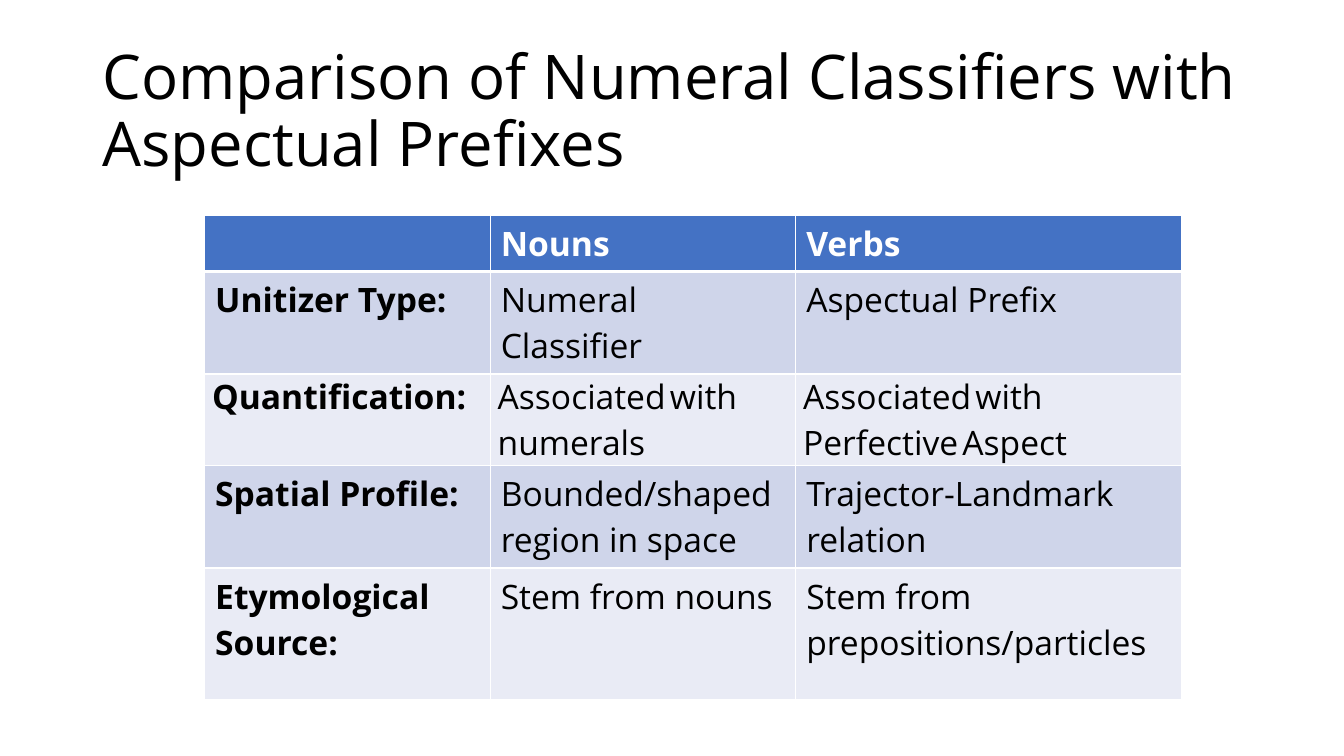
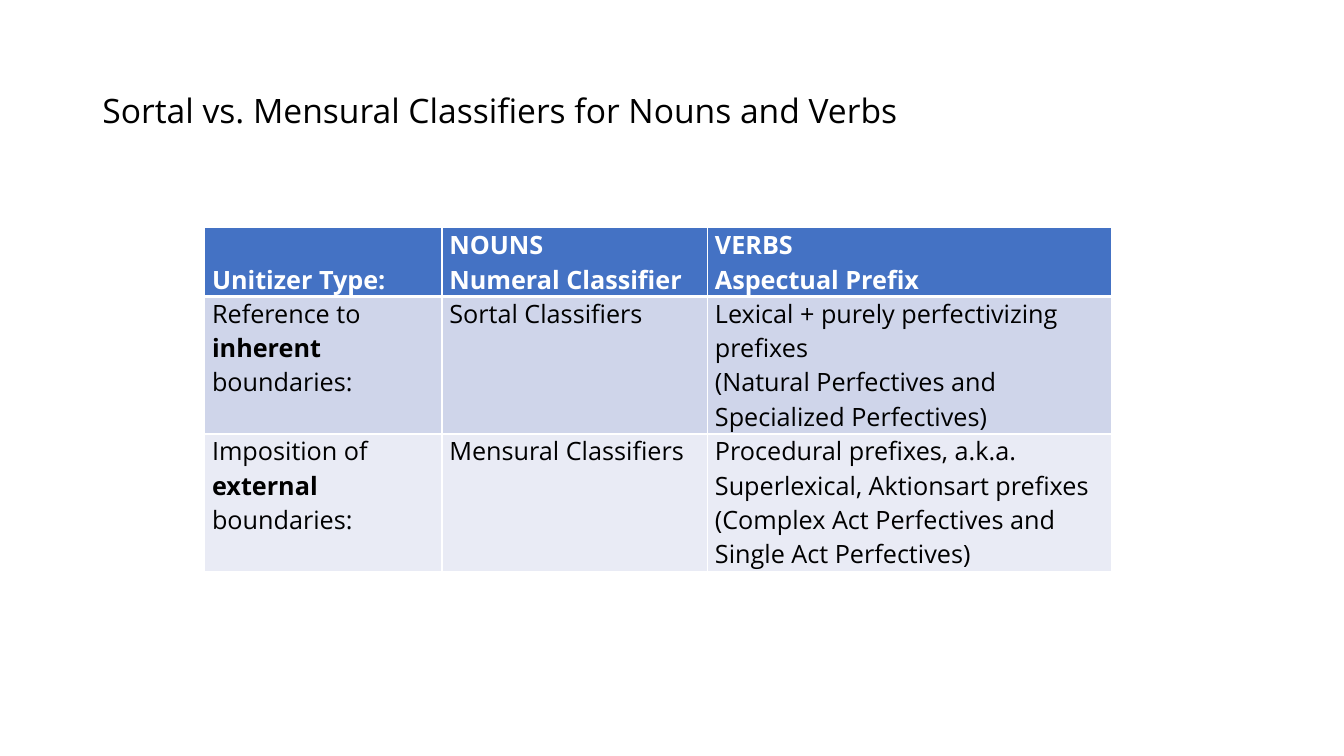
"""Build two slides that compare classifiers of nouns and verbs in tables."""
from dataclasses import dataclass

import lxml.etree
import pptx
import pptx.dml.color
import pptx.enum.text
import pptx.oxml.ns
import pptx.presentation
import pptx.slide
import pptx.table
import pptx.text.text
import pptx.util

PX = 9525
BLACK = pptx.dml.color.RGBColor(0x00, 0x00, 0x00)
WHITE = pptx.dml.color.RGBColor(0xFF, 0xFF, 0xFF)
HEADER_BLUE = pptx.dml.color.RGBColor(0x44, 0x72, 0xC4)
BANDS = (
    pptx.dml.color.RGBColor(0xCF, 0xD5, 0xEA),
    pptx.dml.color.RGBColor(0xE9, 0xEB, 0xF5),
)
FONT = "Open Sans"
ANCHOR = pptx.enum.text.MSO_ANCHOR
TITLE_PLACE = {"left": 88, "top": 38, "width": 1104, "height": 139}
TITLE_FRAME = {
    "word_wrap": True,
    "auto_size": pptx.enum.text.MSO_AUTO_SIZE.NONE,
    "vertical_anchor": ANCHOR.MIDDLE,
}
TITLE_PARA = {"alignment": pptx.enum.text.PP_ALIGN.LEFT, "line_spacing": 0.9}
TABLE_LEFT = 195
THIN, THICK = 1, 3


@dataclass(frozen=True)
class Span:
    """A stretch of text in one format."""
    text: str
    bold: bool = False
    size: int | None = None
    font: str = FONT


Para = tuple[Span, ...]
Cell = tuple[Para, ...]


@dataclass(frozen=True)
class Row:
    """A table row with its height and cell margins in px."""
    height: int
    cells: tuple[Cell, ...]
    side: int = 7
    edge: int = 0


@dataclass(frozen=True)
class TablePage:
    """A slide with a title and one table."""
    title: str
    title_size: int
    top: int
    text_size: int
    columns: tuple[int, ...]
    rows: tuple[Row, ...]


def plain(*lines: str) -> Cell:
    """Return a cell of regular paragraphs."""
    return tuple((Span(line),) for line in lines)


def strong(*lines: str) -> Cell:
    """Return a cell of bold paragraphs."""
    return tuple((Span(line, bold=True),) for line in lines)


def narrow(text: str) -> Cell:
    """Return a cell whose words are set apart by small spaces."""
    first, *others = text.split()
    spans = [Span(first)]
    for word in others:
        spans += [Span(" ", size=12, font="Times New Roman"), Span(word)]
    return (tuple(spans),)


def stressed(before: str, word: str, after: str) -> Cell:
    """Return a cell with one bold word inside regular text."""
    return ((Span(before), Span(word, bold=True), Span(after)),)


ROOMY = {"side": 10, "edge": 5}
PAGES = (
    TablePage(
        "Comparison of Numeral Classifiers with Aspectual Prefixes", 44, 205, 24, (272, 291, 367),
        (
            Row(53, (plain(), strong("Nouns"), strong("Verbs")), **ROOMY),
            Row(97, (strong("Unitizer Type:"), plain("Numeral Classifier"),
                     plain("Aspectual Prefix")), **ROOMY),
            Row(87, (strong("Quantification:"), narrow("Associated with numerals"),
                     narrow("Associated with Perfective Aspect"))),
            Row(97, (strong("Spatial Profile:"), plain("Bounded/shaped region in space"),
                     plain("Trajector-Landmark relation")), **ROOMY),
            Row(125, (strong("Etymological Source:"), plain("Stem from nouns"),
                      plain("Stem from prepositions/particles")), **ROOMY),
        ),
    ),
    TablePage(
        "Sortal vs. Mensural Classifiers for Nouns and Verbs", 24, 217, 18, (226, 253, 385),
        (
            Row(65, (strong("Unitizer Type:"), strong("NOUNS", "Numeral Classifier"),
                     strong("VERBS", "Aspectual Prefix"))),
            Row(131, (stressed("Reference to ", "inherent ", "boundaries:"),
                      plain("Sortal Classifiers"),
                      plain("Lexical + purely perfectivizing prefixes",
                            "(Natural Perfectives and Specialized Perfectives)"))),
            Row(131, (stressed("Imposition of ", "external", " boundaries:"),
                      plain("Mensural Classifiers"),
                      plain("Procedural prefixes, a.k.a. Superlexical, Aktionsart prefixes",
                            "(Complex Act Perfectives and Single Act Perfectives)"))),
        ),
    ),
)


def apply(target: object, values: dict) -> None:
    """Set each named attribute of the target."""
    for name, value in values.items():
        setattr(target, name, value)


def write(para: pptx.text.text._Paragraph, spans: Para, size: int,
          color: pptx.dml.color.RGBColor) -> None:
    """Add formatted spans to a paragraph."""
    for span in spans:
        run = para.add_run()
        run.text = span.text
        apply(run.font, {"name": span.font, "bold": span.bold,
                         "size": pptx.util.Pt(span.size or size)})
        run.font.color.rgb = color


def add_borders(cell: pptx.table._Cell, top: int, bottom: int) -> None:
    """Draw white lines around a cell, with widths in points."""
    qn = pptx.oxml.ns.qn
    properties = cell._tc.get_or_add_tcPr()
    for side, width in {"L": THIN, "R": THIN, "T": top, "B": bottom}.items():
        line = lxml.etree.SubElement(properties, qn(f"a:ln{side}"), w=str(pptx.util.Pt(width)))
        fill = lxml.etree.SubElement(line, qn("a:solidFill"))
        lxml.etree.SubElement(fill, qn("a:srgbClr"), val=str(WHITE))


def fill_cell(cell: pptx.table._Cell, content: Cell, row: Row, index: int, size: int) -> None:
    """Format one table cell and write its text."""
    header = index == 0
    add_borders(cell, THICK if index == 1 else THIN, THICK if header else THIN)
    cell.fill.solid()
    cell.fill.fore_color.rgb = HEADER_BLUE if header else BANDS[(index - 1) % 2]
    apply(cell, {
        "margin_left": row.side * PX, "margin_right": row.side * PX,
        "margin_top": row.edge * PX, "margin_bottom": row.edge * PX,
        "vertical_anchor": ANCHOR.BOTTOM if header else ANCHOR.TOP,
    })
    frame = cell.text_frame
    for number, spans in enumerate(content):
        para = frame.add_paragraph() if number else frame.paragraphs[0]
        write(para, spans, size, WHITE if header else BLACK)


def add_title(page: pptx.slide.Slide, text: str, size: int) -> None:
    """Place and format the slide title."""
    title = page.shapes.title
    apply(title, {name: value * PX for name, value in TITLE_PLACE.items()})
    apply(title.text_frame, TITLE_FRAME)
    para = title.text_frame.paragraphs[0]
    apply(para, TITLE_PARA)
    write(para, (Span(text),), size, BLACK)


def add_page(deck: pptx.presentation.Presentation, content: TablePage) -> None:
    """Add a slide with its title and table."""
    page = deck.slides.add_slide(deck.slide_layouts[5])
    add_title(page, content.title, content.title_size)
    table = page.shapes.add_table(
        len(content.rows), len(content.columns), TABLE_LEFT * PX, content.top * PX,
        sum(content.columns) * PX, sum(row.height for row in content.rows) * PX,
    ).table
    for column, width in zip(table.columns, content.columns):
        column.width = width * PX
    for index, row in enumerate(content.rows):
        table.rows[index].height = row.height * PX
        for number, cell in enumerate(row.cells):
            fill_cell(table.cell(index, number), cell, row, index, content.text_size)


def main() -> None:
    """Build and save the deck."""
    deck = pptx.Presentation()
    apply(deck, {"slide_width": 1280 * PX, "slide_height": 720 * PX})
    for content in PAGES:
        add_page(deck, content)
    deck.save("out.pptx")


if __name__ == "__main__":
    main()
